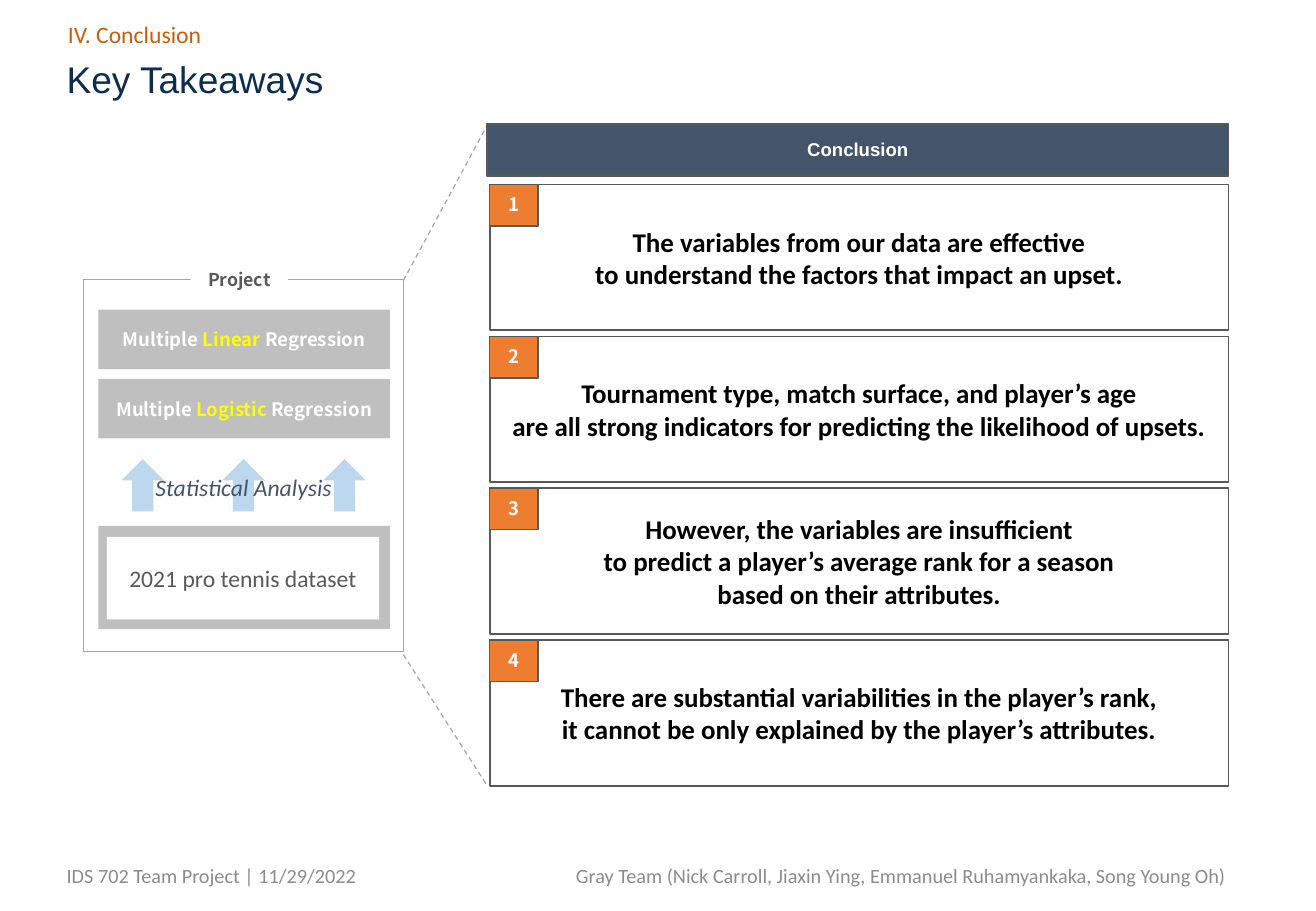
from lxml import etree
from pptx import Presentation
from pptx import util as u
from pptx.dml.color import RGBColor
from pptx.enum import dml, shapes, text
from pptx.oxml import ns

WHITE = RGBColor(0xFF, 0xFF, 0xFF)
BLACK = RGBColor(0x00, 0x00, 0x00)
NAVY = RGBColor(0x0D, 0x2D, 0x4F)
SLATE = RGBColor(0x44, 0x54, 0x6A)
RUST = RGBColor(0xC7, 0x5F, 0x09)
ORANGE = RGBColor(0xED, 0x7D, 0x31)
YELLOW = RGBColor(0xFF, 0xFF, 0x00)
SKY = RGBColor(0xBD, 0xD7, 0xEE)
CHARCOAL = RGBColor(0x59, 0x59, 0x59)
FOOTER_GRAY = RGBColor(0x8C, 0x8C, 0x8C)
LINE_GRAY = RGBColor(0xA6, 0xA6, 0xA6)
PANEL_GRAY = RGBColor(0xBF, 0xBF, 0xBF)

RECT = shapes.MSO_SHAPE.RECTANGLE
TOP, MIDDLE = text.MSO_ANCHOR.TOP, text.MSO_ANCHOR.MIDDLE
LEFT, CENTER, RIGHT = text.PP_ALIGN.LEFT, text.PP_ALIGN.CENTER, text.PP_ALIGN.RIGHT

FOOTER = {"name": "Calibri", "size": u.Pt(12), "color": FOOTER_GRAY}
SECTION = {"name": "Calibri", "size": u.Pt(14), "color": RUST}
TITLE = {"name": "Arial", "size": u.Pt(22), "color": NAVY}
HEADER = {"name": "Arial", "size": u.Pt(11), "bold": True, "color": WHITE}
LABEL = {"name": "Noto Sans CJK KR", "size": u.Pt(11), "bold": True, "color": WHITE}
PROJECT = {**LABEL, "size": u.Pt(10.5), "color": CHARCOAL}
FINDING = {"name": "Calibri", "size": u.Pt(16), "bold": True, "color": BLACK}
ANALYSIS = {"name": "Calibri", "size": u.Pt(14), "italic": True, "color": SLATE}
DATASET = {"name": "Calibri", "size": u.Pt(14), "color": CHARCOAL}

FINDINGS = [
    ["The variables from our data are effective",
     "to understand the factors that impact an upset."],
    ["Tournament type, match surface, and player’s age",
     "are all strong indicators for predicting the likelihood of upsets."],
    ["However, the variables are insufficient",
     "to predict a player’s average rank for a season",
     "based on their attributes."],
    ["There are substantial variabilities in the player’s rank,",
     "it cannot be only explained by the player’s attributes."],
]


class Page:
    def __init__(self, deck):
        self.slide = deck.slides.add_slide(deck.slide_layouts[6])

    def fill_text(self, box, lines, style, align=CENTER, anchor=MIDDLE, inset=None, spacing=None):
        frame = box.text_frame
        frame.word_wrap = True
        frame.vertical_anchor = anchor
        if inset is not None:
            for side in ("left", "top", "right", "bottom"):
                setattr(frame, f"margin_{side}", u.Inches(inset))
        for index, line in enumerate(lines):
            para = frame.paragraphs[0] if index == 0 else frame.add_paragraph()
            para.alignment = align
            if spacing:
                para.line_spacing = spacing
            parts = [(line, {})] if isinstance(line, str) else line
            for words, change in parts:
                span = para.add_run()
                span.text = words
                for key, value in {**style, **change}.items():
                    if key == "color":
                        span.font.color.rgb = value
                    else:
                        setattr(span.font, key, value)

    def label(self, place, words, style, **layout):
        box = self.slide.shapes.add_textbox(*map(u.Inches, place))
        self.fill_text(box, [words], style, **layout)

    def shape(self, place, fill=None, line=None, weight=1, kind=RECT):
        box = self.slide.shapes.add_shape(kind, *map(u.Inches, place))
        box.shadow.inherit = False
        if fill is None:
            box.fill.background()
        else:
            box.fill.solid()
            box.fill.fore_color.rgb = fill
        if line is None:
            box.line.fill.background()
        else:
            box.line.color.rgb = line
            box.line.width = u.Pt(weight)
        return box

    def dashed_line(self, *ends):
        line = self.slide.shapes.add_connector(
            shapes.MSO_CONNECTOR.STRAIGHT, *map(u.Inches, ends))
        line.line.color.rgb = LINE_GRAY
        line.line.width = u.Pt(0.75)
        line.line.dash_style = dml.MSO_LINE.DASH
        etree.SubElement(line._element.spPr, ns.qn("a:effectLst"))


def draw_frame(page):
    page.label((0.45, 7.01, 3.51, 0.4), "IDS 702 Team Project | 11/29/2022", FOOTER, align=LEFT)
    page.label((4.42, 7.01, 5.77, 0.4),
               "Gray Team (Nick Carroll, Jiaxin Ying, Emmanuel Ruhamyankaka, Song Young Oh)",
               FOOTER, align=RIGHT)
    page.label((0.46, 0.11, 8.09, 0.34), "IV. Conclusion", SECTION, align=LEFT)
    page.label((0.45, 0.46, 9.75, 0.45), "Key Takeaways", TITLE,
               align=LEFT, anchor=TOP, spacing=0.9)


def draw_project(page):
    page.shape((0.69, 2.3, 2.63, 3.06), line=LINE_GRAY, weight=0.5)
    tab = page.shape((1.57, 2.16, 0.8, 0.28), WHITE)
    page.fill_text(tab, ["Project"], PROJECT, anchor=TOP)
    for index, model in enumerate(("Linear", "Logistic")):
        panel = page.shape((0.81, 2.55 + 0.57 * index, 2.4, 0.49), PANEL_GRAY)
        parts = [("Multiple", {}), (f" {model} ", {"color": YELLOW}), ("Regression", {})]
        page.fill_text(panel, [parts], LABEL, inset=0)
    for index in range(3):
        page.shape((1 + 0.83 * index, 3.78, 0.35, 0.43), SKY, kind=shapes.MSO_SHAPE.UP_ARROW)
    page.label((0.93, 3.84, 2.15, 0.34), "Statistical Analysis", ANALYSIS, anchor=TOP)
    page.shape((0.81, 4.33, 2.4, 0.85), PANEL_GRAY)
    dataset = page.shape((0.88, 4.42, 2.24, 0.68), WHITE)
    page.fill_text(dataset, ["2021 pro tennis dataset"], DATASET, inset=0)


def draw_conclusion(page):
    page.dashed_line(3.32, 2.31, 4.01, 1.03)
    page.dashed_line(3.32, 5.39, 4.01, 6.47)
    header = page.shape((4.01, 1.02, 6.1, 0.43), SLATE, CHARCOAL)
    page.fill_text(header, ["Conclusion"], HEADER, inset=0, spacing=0.95)
    for index, lines in enumerate(FINDINGS):
        top = 1.52 + 1.25 * index
        card = page.shape((4.03, top, 6.08, 1.2), line=CHARCOAL)
        page.fill_text(card, lines, FINDING, inset=0)
        badge = page.shape((4.03, top, 0.4, 0.34), ORANGE, CHARCOAL)
        page.fill_text(badge, [str(index + 1)], LABEL, inset=0, spacing=0.95)


def main():
    deck = Presentation()
    deck.slide_width, deck.slide_height = u.Inches(10.83), u.Inches(7.5)
    page = Page(deck)
    draw_frame(page)
    draw_project(page)
    draw_conclusion(page)
    deck.save("out.pptx")


if __name__ == "__main__":
    main()
